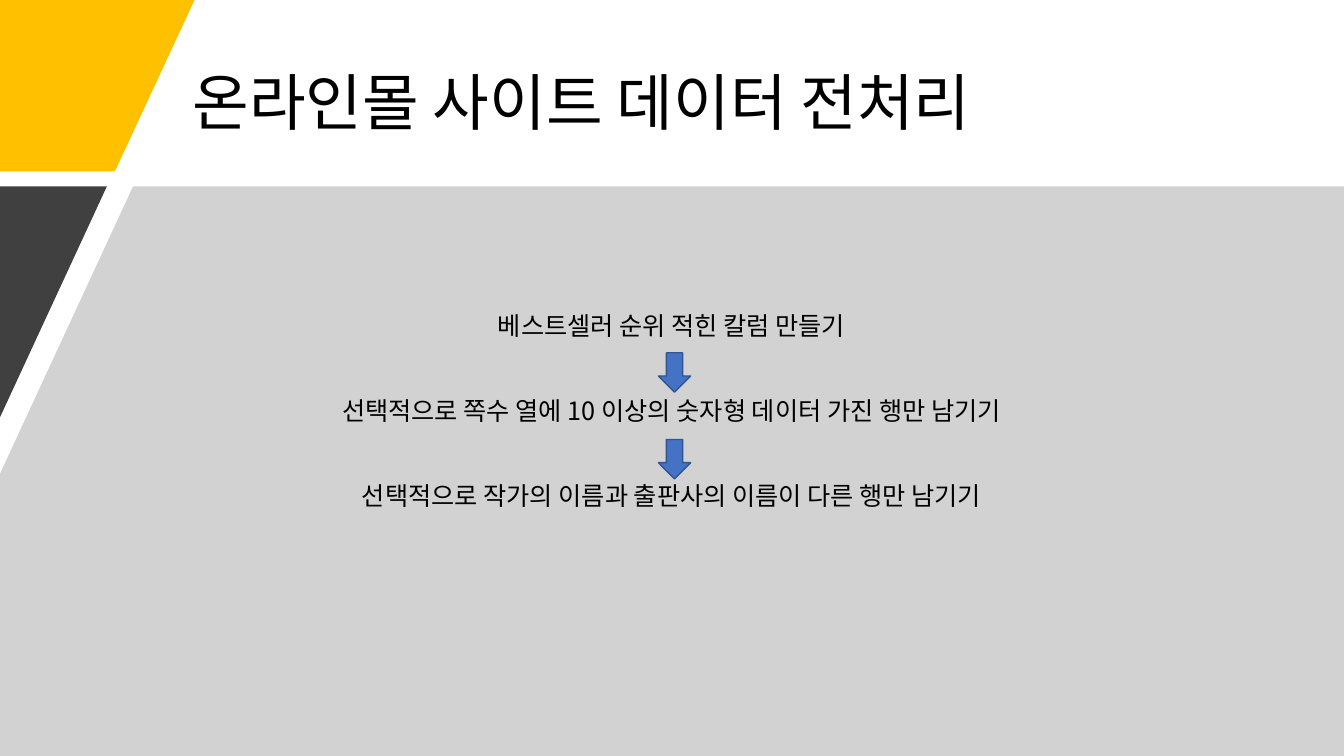
from dataclasses import dataclass

from lxml.etree import SubElement
from pptx import Presentation
from pptx.dml.color import RGBColor
from pptx.enum.shapes import MSO_SHAPE
from pptx.enum.text import MSO_ANCHOR, PP_ALIGN
from pptx.oxml.ns import qn
from pptx.shapes.autoshape import Shape
from pptx.slide import Slide
from pptx.util import Inches, Pt

COLORS = {
    "ink": "000000",
    "yellow": "FFC000",
    "dark": "404040",
    "gray": "A6A6A6",
    "arrow": "4472C4",
    "arrow_edge": "325491",
}
FONT = "Noto Sans CJK KR"


@dataclass(frozen=True)
class Panel:
    points: tuple[tuple[float, float], ...]
    color: str
    opacity: int = 100


@dataclass(frozen=True)
class TextBlock:
    box: tuple[float, float, float, float]
    lines: tuple[str, ...]
    size: int
    anchor: MSO_ANCHOR
    paragraph_format: dict
    gap: float = 0


PANELS = (
    Panel(((0, 0), (1.93, 0), (1.14, 1.7), (0, 1.7)), "yellow"),
    Panel(((1.32, 1.85), (13.33, 1.85), (13.33, 7.5), (0, 7.5), (0, 4.7)), "gray", 50),
    Panel(((0, 1.85), (1.06, 1.85), (0, 4.14)), "dark"),
)
TITLE = TextBlock(
    (1.81, 0.4, 10.24, 1.3),
    ("온라인몰 사이트 데이터 전처리",),
    44,
    MSO_ANCHOR.MIDDLE,
    {"alignment": PP_ALIGN.LEFT, "line_spacing": 0.9},
)
STEPS = TextBlock(
    (2.66, 3.03, 8, 2.22),
    (
        "베스트셀러 순위 적힌 칼럼 만들기",
        "선택적으로 쪽수 열에 10 이상의 숫자형 데이터 가진 행만 남기기",
        "선택적으로 작가의 이름과 출판사의 이름이 다른 행만 남기기",
    ),
    18,
    MSO_ANCHOR.TOP,
    {"alignment": PP_ALIGN.CENTER},
    gap=39,
)
ARROW_TOPS = (3.5, 4.36)


def rgb(name: str) -> RGBColor:
    return RGBColor.from_string(COLORS[name])


def paint(shape: Shape, color: str) -> None:
    shape.shadow.inherit = False
    shape.fill.solid()
    shape.fill.fore_color.rgb = rgb(color)


def draw_panel(slide: Slide, panel: Panel) -> None:
    start, *rest = [(Inches(x), Inches(y)) for x, y in panel.points]
    builder = slide.shapes.build_freeform(*start)
    builder.add_line_segments(rest, close=True)
    shape = builder.convert_to_shape()
    paint(shape, panel.color)
    shape.line.fill.background()
    if panel.opacity < 100:
        tint = shape.fill._xPr.find(qn("a:solidFill"))[0]
        SubElement(tint, qn("a:alpha"), val=str(panel.opacity * 1000))


def draw_text(slide: Slide, block: TextBlock) -> None:
    frame = slide.shapes.add_textbox(*map(Inches, block.box)).text_frame
    frame.word_wrap = True
    frame.vertical_anchor = block.anchor
    font_format = {"name": FONT, "size": Pt(block.size)}
    for index, line in enumerate(block.lines):
        paragraph = frame.add_paragraph() if index else frame.paragraphs[0]
        for key, value in block.paragraph_format.items():
            setattr(paragraph, key, value)
        if index:
            paragraph.space_before = Pt(block.gap)
        run = paragraph.add_run()
        run.text = line
        for key, value in font_format.items():
            setattr(run.font, key, value)
        run.font.color.rgb = rgb("ink")
        SubElement(run.font._element, qn("a:ea"), typeface=FONT)


def draw_arrow(slide: Slide, top: float) -> None:
    arrow = slide.shapes.add_shape(
        MSO_SHAPE.DOWN_ARROW, Inches(6.53), Inches(top), Inches(0.32), Inches(0.39)
    )
    paint(arrow, "arrow")
    arrow.line.color.rgb = rgb("arrow_edge")
    arrow.line.width = Pt(1)


def main() -> None:
    deck = Presentation()
    deck.slide_width, deck.slide_height = Inches(13.33), Inches(7.5)
    slide = deck.slides.add_slide(deck.slide_layouts[6])
    draw_text(slide, TITLE)
    for panel in PANELS:
        draw_panel(slide, panel)
    draw_text(slide, STEPS)
    for top in ARROW_TOPS:
        draw_arrow(slide, top)
    deck.save("out.pptx")


if __name__ == "__main__":
    main()
